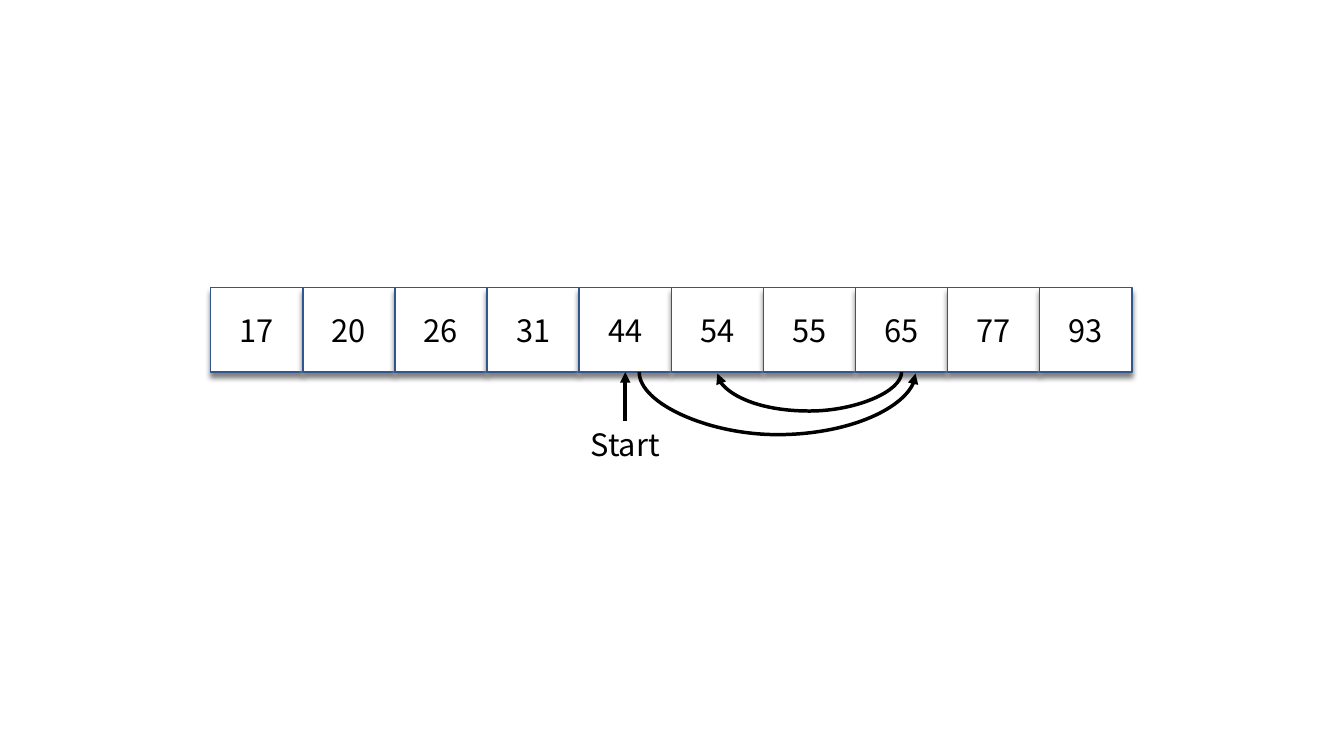
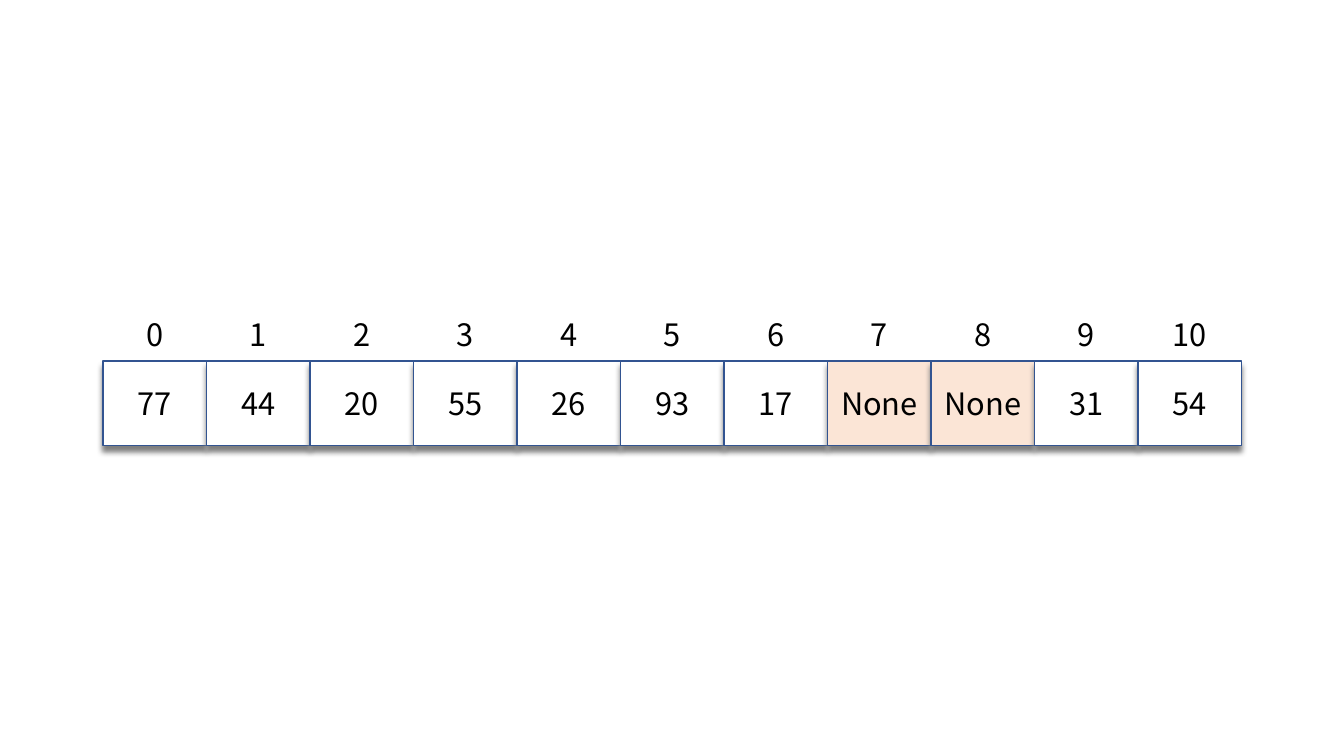
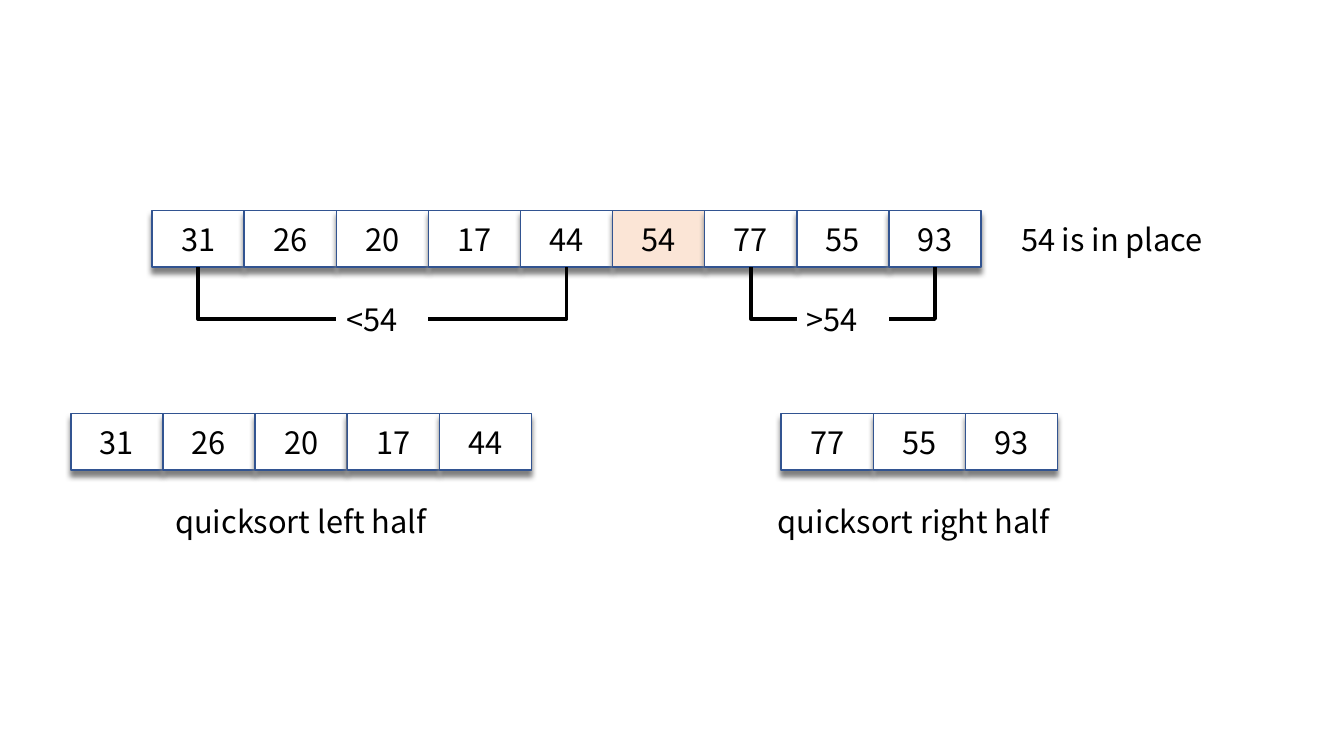
from lxml import etree
from pptx import Presentation
from pptx.dml.color import RGBColor
from pptx.enum import shapes, text
from pptx.oxml import ns
from pptx.util import Pt

WHITE = RGBColor(0xFF, 0xFF, 0xFF)
BLACK = RGBColor(0, 0, 0)
BLUE = RGBColor(0x32, 0x54, 0x91)
PEACH = RGBColor(0xFB, 0xE5, 0xD6)
SHADOW_GREY = "808080"

FONT = "Noto Sans CJK KR"
CELL_WIDTH = Pt(65.8)
LABEL_HEIGHT = Pt(34)
CENTER = text.PP_ALIGN.CENTER
LEFT = text.PP_ALIGN.LEFT


def write(shape, words, align):
    frame = shape.text_frame
    frame.word_wrap = True
    frame.text = words
    para = frame.paragraphs[0]
    para.alignment = align
    font = para.runs[0].font
    font.name, font.size, font.color.rgb = FONT, Pt(22), BLACK


def add_label(page, words, left, top, width=CELL_WIDTH, align=LEFT):
    label = page.shapes.add_textbox(left, top, width, LABEL_HEIGHT)
    write(label, words, align)
    return label


def add_shadow(shape):
    """Give the shape a soft grey shadow straight below it."""
    shape.shadow.inherit = False
    effects = shape.element.spPr.find(ns.qn("a:effectLst"))
    shadow = etree.SubElement(effects, ns.qn("a:outerShdw"), blurRad=str(Pt(4)),
                              dist=str(Pt(4)), dir="5400000", rotWithShape="0")
    etree.SubElement(shadow, ns.qn("a:srgbClr"), val=SHADOW_GREY)


def add_row(page, values, left, top, height, width=CELL_WIDTH, marked=None):
    """Draw a list as touching cells and return the cells."""
    cells = []
    for index, value in enumerate(values):
        cell = page.shapes.add_shape(shapes.MSO_SHAPE.RECTANGLE,
                                     left + index * width, top, width, height)
        cell.fill.solid()
        cell.fill.fore_color.rgb = PEACH if value == marked else WHITE
        cell.line.color.rgb = BLUE
        cell.line.width = Pt(1)
        add_shadow(cell)
        write(cell, str(value), CENTER)
        cell.text_frame.vertical_anchor = text.MSO_ANCHOR.MIDDLE
        cells.append(cell)
    return cells


def middle(cell):
    return cell.left + cell.width // 2


def bottom(cell):
    return cell.top + cell.height


def style_line(line, arrow=False):
    line.line.color.rgb = BLACK
    line.line.width = Pt(2.5)
    properties = line.element.spPr
    if arrow:
        etree.SubElement(properties.find(ns.qn("a:ln")), ns.qn("a:tailEnd"), type="triangle")
    etree.SubElement(properties, ns.qn("a:effectLst"))


def add_dropping_line(page, kind, start_x, end_x, top, drop):
    """Add a connector that leaves its start downwards, and return it."""
    span = abs(end_x - start_x)
    left = (start_x + end_x - drop) // 2
    box_top = top + (drop - span) // 2
    line = page.shapes.add_connector(kind, left, box_top, left + drop, box_top + span)
    frame = line.element.spPr.find(ns.qn("a:xfrm"))
    if end_x > start_x:
        frame.set("rot", "16200000")
        frame.set("flipH", "1")
    else:
        frame.set("rot", "5400000")
    return line


def add_jump(page, start_x, end_x, top, depth):
    """Curved arrow that sags by depth times its one-point height."""
    line = add_dropping_line(page, shapes.MSO_CONNECTOR.CURVE, start_x, end_x, top, Pt(1))
    guides = line.element.spPr.find(ns.qn("a:prstGeom")).get_or_add_avLst()
    etree.SubElement(guides, ns.qn("a:gd"), name="adj1", fmla=f"val {depth * 100000}")
    style_line(line, arrow=True)


def add_bracket(page, first, last, words):
    """Bracket below the cells from first to last, broken by a label."""
    drop = Pt(37)
    top = bottom(first)
    label_left = (middle(first) + middle(last) - CELL_WIDTH) // 2
    add_label(page, words, label_left, top + drop - LABEL_HEIGHT // 2)
    for start_x, end_x in ((middle(first), label_left),
                           (middle(last), label_left + CELL_WIDTH)):
        line = add_dropping_line(page, shapes.MSO_CONNECTOR.ELBOW, start_x, end_x, top, drop)
        line.element.spPr.find(ns.qn("a:prstGeom")).set("prst", "bentConnector2")
        style_line(line)


def build_binary_search(page, left, top):
    values = (17, 20, 26, 31, 44, 54, 55, 65, 77, 93)
    cells = dict(zip(values, add_row(page, values, left, top, Pt(60.5))))
    start = cells[44]
    base = bottom(start)
    label = add_label(page, "Start", start.left, base + Pt(35), align=CENTER)
    arrow = page.shapes.add_connector(shapes.MSO_CONNECTOR.STRAIGHT,
                                      middle(start), label.top, middle(start), base)
    arrow.begin_connect(label, 0)
    arrow.end_connect(start, 2)
    style_line(arrow, arrow=True)
    offset = Pt(10)
    add_jump(page, middle(start) + offset, middle(cells[65]) + offset, base, 45)
    add_jump(page, middle(cells[65]), middle(cells[54]), base, 28)


def build_hash_table(page, left, top):
    values = (77, 44, 20, 55, 26, 93, 17, None, None, 31, 54)
    cells = add_row(page, values, left, top + Pt(36), Pt(60.5), Pt(73.94))
    for index, cell in enumerate(cells):
        add_label(page, str(index), middle(cell) - CELL_WIDTH // 2, top, align=CENTER)


def build_quicksort(page, left, top):
    height = Pt(40.6)
    smaller, pivot, larger = (31, 26, 20, 17, 44), 54, (77, 55, 93)
    cells = add_row(page, (*smaller, pivot, *larger), left + Pt(58), top, height, marked=pivot)
    add_label(page, f"{pivot} is in place", left + Pt(671.6), top + Pt(3.5), Pt(187))
    add_bracket(page, cells[0], cells[len(smaller) - 1], f"<{pivot}")
    add_bracket(page, cells[len(smaller) + 1], cells[-1], f">{pivot}")
    for half, values, row_x, label_x in (("left", smaller, 0, 67.5),
                                         ("right", larger, 507.4, 498)):
        add_row(page, values, left + Pt(row_x), top + Pt(145), height)
        add_label(page, f"quicksort {half} half", left + Pt(label_x), top + Pt(205.3), Pt(216))


def main():
    deck = Presentation()
    deck.slide_width, deck.slide_height = Pt(960), Pt(540)
    for build, left, top in ((build_binary_search, 150.5, 205.3),
                             (build_hash_table, 73.6, 221.8),
                             (build_quicksort, 50.6, 150.3)):
        build(deck.slides.add_slide(deck.slide_layouts[6]), Pt(left), Pt(top))
    deck.save("out.pptx")


if __name__ == "__main__":
    main()
